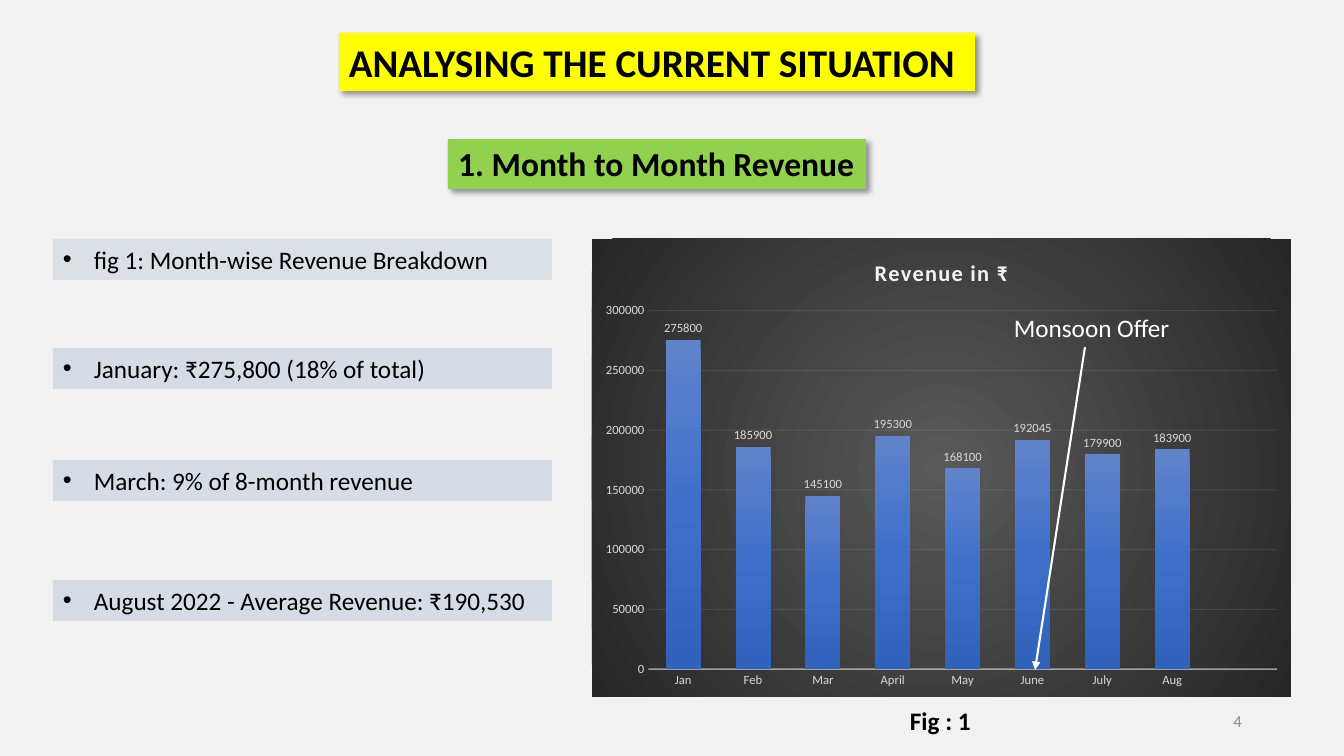
"""Build the month-to-month revenue slide with its column chart."""
from dataclasses import dataclass

from lxml import etree
from pptx import Presentation
from pptx.chart.data import CategoryChartData
from pptx.dml.color import RGBColor
from pptx.enum.chart import XL_CHART_TYPE, XL_LABEL_POSITION, XL_TICK_MARK
from pptx.enum.shapes import MSO_CONNECTOR
from pptx.enum.text import MSO_ANCHOR, MSO_AUTO_SIZE, PP_ALIGN
from pptx.oxml import parse_xml
from pptx.oxml.ns import nsdecls, qn
from pptx.util import Emu, Pt

COLUMN = XL_CHART_TYPE.COLUMN_CLUSTERED
OUTSIDE_END = XL_LABEL_POSITION.OUTSIDE_END
NO_TICK = XL_TICK_MARK.NONE
STRAIGHT = MSO_CONNECTOR.STRAIGHT
TOP, MIDDLE, BOTTOM = MSO_ANCHOR.TOP, MSO_ANCHOR.MIDDLE, MSO_ANCHOR.BOTTOM
LEFT, RIGHT, JUSTIFY = PP_ALIGN.LEFT, PP_ALIGN.RIGHT, PP_ALIGN.JUSTIFY
NO_AUTOFIT = MSO_AUTO_SIZE.NONE

HEADING = "ANALYSING THE CURRENT SITUATION "
TITLE = "1. Month to Month Revenue"
FINDINGS = [
    (239, "fig 1: Month-wise Revenue Breakdown", 80),
    (348, "January: ₹275,800 (18% of total)", 100),
    (460, "March: 9% of 8-month revenue", 100),
    (580, "August 2022 - Average Revenue: ₹190,530", 100),
]
CHART_TITLE = "Revenue in ₹"
REVENUE = [
    ("Jan", 275800), ("Feb", 185900), ("Mar", 145100), ("April", 195300),
    ("May", 168100), ("June", 192045), ("July", 179900), ("Aug", 183900),
    ("", None),
]
CAPTION = "Fig : 1"
OFFER = "Monsoon Offer"
PAGE_NUMBER = "4"

SLIDE_SIZE = (1344, 756)
HEADING_BOX = (339, 33, 636, 58)
TITLE_BOX = (448, 139, 418, 50)
FINDING_LEFT, FINDING_WIDTH, FINDING_HEIGHT = 53, 499, 41
CHART_BOX = (592, 239, 699, 458)
CAPTION_BOX = (900, 700, 84, 41)
OFFER_BOX = (1004, 307, 185, 41)
PAGE_NUMBER_BOX = (950, 701, 302, 40)
OFFER_ARROW = (1085, 347, 1035, 670)
BULLET_INDENT = 31


@dataclass(frozen=True)
class Theme:
    """Colours and type sizes."""

    font: str = "Calibri"
    background: str = "F2F2F2"
    ink: str = "000000"
    white: str = "FFFFFF"
    yellow: str = "FFFF00"
    green: str = "92D050"
    panel: str = "D6DCE5"
    muted: str = "8C8C8C"
    axis_text: str = "D9D9D9"
    chart_stops: tuple = ((0, "595959"), (100, "262626"))
    column_stops: tuple = ((0, "6183CB"), (50, "3E70CA"), (100, "3062BB"))
    heading_size: int = 28
    title_size: int = 24
    body_size: int = 18
    chart_title_size: int = 16
    number_size: int = 12
    axis_size: int = 9


THEME = Theme()


def px(length):
    return Emu(round(length * 914400 / 100.8))


def apply(target, **formats):
    for name, value in formats.items():
        setattr(target, name, value)


def style_font(font, size, color, bold=False):
    apply(font, name=THEME.font, size=Pt(size), bold=bold)
    font.color.rgb = RGBColor.from_string(color)


def set_alpha(element, percent):
    for color in element.iter(qn("a:srgbClr")):
        etree.SubElement(color, qn("a:alpha"), val=str(percent * 1000))


def fill_shape(shape, color):
    shape.fill.solid()
    shape.fill.fore_color.rgb = RGBColor.from_string(color)


def add_shadow(shape):
    shape._element.spPr.append(parse_xml(
        f'<a:effectLst {nsdecls("a")}><a:outerShdw blurRad="50800" dist="38100" '
        'dir="2700000" algn="tl" rotWithShape="0"><a:srgbClr val="000000">'
        '<a:alpha val="40000"/></a:srgbClr></a:outerShdw></a:effectLst>'))


def make_gradient(stops, direction):
    colors = "".join(
        f'<a:gs pos="{position * 1000}"><a:srgbClr val="{color}"/></a:gs>'
        for position, color in stops)
    return parse_xml(f'<a:gradFill {nsdecls("a")}><a:gsLst>{colors}</a:gsLst>'
                     f'{direction}</a:gradFill>')


def add_bullet(paragraph):
    properties = paragraph._p.get_or_add_pPr()
    properties.set("marL", str(px(BULLET_INDENT)))
    properties.set("indent", str(-px(BULLET_INDENT)))
    etree.SubElement(properties, qn("a:buFont"), typeface="Arial")
    etree.SubElement(properties, qn("a:buChar"), char="•")


def write(shape, box, text, size, color=THEME.ink, bold=False, align=LEFT,
          anchor=TOP, bullet=False):
    left, top, width, height = map(px, box)
    apply(shape, left=left, top=top, width=width, height=height)
    frame = shape.text_frame
    apply(frame, text=text, word_wrap=True, auto_size=NO_AUTOFIT,
          vertical_anchor=anchor)
    paragraph = frame.paragraphs[0]
    paragraph.alignment = align
    if bullet:
        add_bullet(paragraph)
    style_font(paragraph.runs[0].font, size, color, bold)
    return shape


def add_text(slide, box, *content, **formats):
    return write(slide.shapes.add_textbox(*map(px, box)), box, *content, **formats)


def add_revenue_chart(slide):
    data = CategoryChartData()
    data.categories = [month for month, _ in REVENUE]
    data.add_series(CHART_TITLE, [value for _, value in REVENUE])
    chart = slide.shapes.add_chart(COLUMN, *map(px, CHART_BOX), data).chart
    apply(chart, has_legend=False, has_title=True)
    style_font(chart.font, THEME.axis_size, THEME.axis_text)

    title_frame = chart.chart_title.text_frame
    title_frame.text = CHART_TITLE
    title_font = title_frame.paragraphs[0].runs[0].font
    style_font(title_font, THEME.chart_title_size, THEME.background, True)
    title_font._element.set("spc", "100")

    panel = parse_xml(f'<c:spPr {nsdecls("c", "a")}/>')
    panel.append(make_gradient(
        THEME.chart_stops, '<a:path path="circle"><a:fillToRect l="50000" '
        't="50000" r="50000" b="50000"/></a:path>'))
    etree.SubElement(etree.SubElement(panel, qn("a:ln")), qn("a:noFill"))
    chart._chartSpace.find(qn("c:chart")).addnext(panel)

    plot = chart.plots[0]
    apply(plot, gap_width=100, overlap=-24, vary_by_categories=False,
          has_data_labels=True)
    apply(plot.data_labels, show_value=True, position=OUTSIDE_END)
    style_font(plot.data_labels.font, THEME.axis_size, THEME.axis_text)
    plot.series[0]._element.get_or_add_spPr().append(
        make_gradient(THEME.column_stops, '<a:lin ang="5400000" scaled="0"/>'))

    months, amounts = chart.category_axis, chart.value_axis
    for axis in (months, amounts):
        apply(axis, major_tick_mark=NO_TICK, minor_tick_mark=NO_TICK)
        style_font(axis.tick_labels.font, THEME.axis_size, THEME.axis_text)
    apply(amounts, minimum_scale=0, maximum_scale=300000, major_unit=50000,
          has_major_gridlines=True)
    amounts.format.line.fill.background()
    grid = amounts.major_gridlines
    for line, width in ((months.format.line, 1), (grid.format.line, 0.75)):
        line.width = Pt(width)
        line.color.rgb = RGBColor.from_string(THEME.background)
    set_alpha(months._element.find(qn("c:spPr")), 54)
    set_alpha(amounts._element.find(qn("c:majorGridlines")), 10)


def add_offer_arrow(slide):
    arrow = slide.shapes.add_connector(STRAIGHT, *map(px, OFFER_ARROW))
    arrow.line.width = Pt(1.5)
    arrow.line.color.rgb = RGBColor.from_string(THEME.white)
    etree.SubElement(arrow.line._get_or_add_ln(), qn("a:tailEnd"), type="triangle")
    etree.SubElement(arrow._element.spPr, qn("a:effectLst"))


def main():
    presentation = Presentation()
    width, height = map(px, SLIDE_SIZE)
    apply(presentation, slide_width=width, slide_height=height)
    slide = presentation.slides.add_slide(presentation.slide_layouts[5])
    fill_shape(slide.background, THEME.background)

    title = write(slide.shapes.title, TITLE_BOX, TITLE, THEME.title_size,
                  bold=True, anchor=BOTTOM)
    title.text_frame.paragraphs[0].line_spacing = 0.9
    heading = add_text(slide, HEADING_BOX, HEADING, THEME.heading_size, bold=True)
    for shape, color in ((title, THEME.green), (heading, THEME.yellow)):
        fill_shape(shape, color)
        add_shadow(shape)

    for top, text, opacity in FINDINGS:
        box = (FINDING_LEFT, top, FINDING_WIDTH, FINDING_HEIGHT)
        finding = add_text(slide, box, text, THEME.body_size, align=JUSTIFY, bullet=True)
        fill_shape(finding, THEME.panel)
        set_alpha(finding._element.spPr, opacity)

    add_revenue_chart(slide)
    add_text(slide, CAPTION_BOX, CAPTION, THEME.body_size, bold=True)
    add_offer_arrow(slide)
    add_text(slide, OFFER_BOX, OFFER, THEME.body_size, THEME.white)
    add_text(slide, PAGE_NUMBER_BOX, PAGE_NUMBER, THEME.number_size, THEME.muted,
             align=RIGHT, anchor=MIDDLE)
    presentation.save("out.pptx")


if __name__ == "__main__":
    main()
